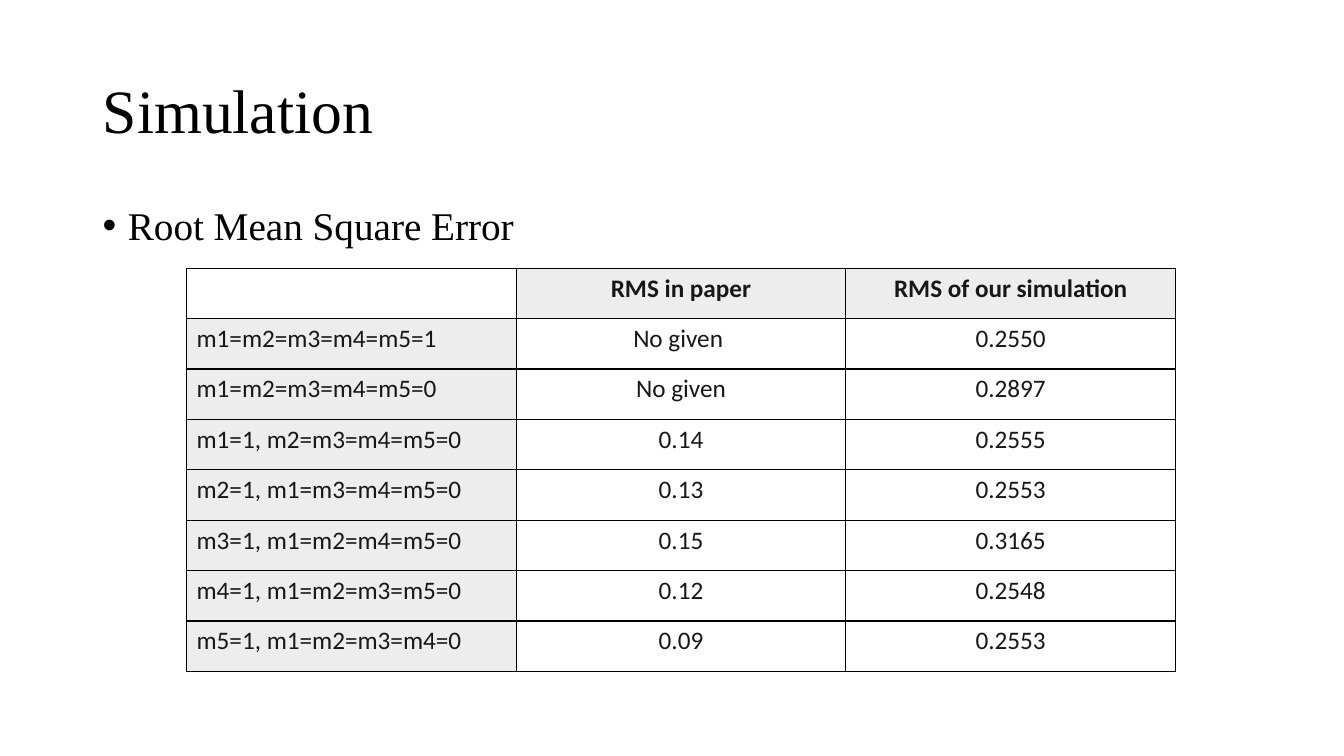
"""Build the simulation slide with its root mean square error table."""
from dataclasses import dataclass

import lxml.etree
import pptx
import pptx.dml.color
import pptx.enum.text
import pptx.oxml.ns
import pptx.slide
import pptx.table
import pptx.text.text
import pptx.util

Inches = pptx.util.Inches
Pt = pptx.util.Pt
RGBColor = pptx.dml.color.RGBColor
Align = pptx.enum.text.PP_ALIGN
Anchor = pptx.enum.text.MSO_ANCHOR
qn = pptx.oxml.ns.qn

BLACK = RGBColor(0x00, 0x00, 0x00)
WHITE = RGBColor(0xFF, 0xFF, 0xFF)
CELL_TEXT = RGBColor(0x18, 0x17, 0x17)
HEADER_GRAY = RGBColor(0xED, 0xED, 0xED)

HEADING_FONT = "Times New Roman"
TABLE_FONT = "Calibri"
COLUMN_WIDTH = 3.27
ROW_HEIGHT = 0.5


@dataclass(frozen=True)
class ResultRow:
    condition: str
    paper: str
    simulation: str


RESULTS = [
    ResultRow("", "RMS in paper", "RMS of our simulation"),
    ResultRow("m1=m2=m3=m4=m5=1", "No given ", "0.2550"),
    ResultRow("m1=m2=m3=m4=m5=0", "No given", "0.2897"),
    ResultRow("m1=1, m2=m3=m4=m5=0", "0.14", "0.2555"),
    ResultRow("m2=1, m1=m3=m4=m5=0", "0.13", "0.2553"),
    ResultRow("m3=1, m1=m2=m4=m5=0", "0.15", "0.3165"),
    ResultRow("m4=1, m1=m2=m3=m5=0", "0.12", "0.2548"),
    ResultRow("m5=1, m1=m2=m3=m4=0", "0.09", "0.2553"),
]


def format_font(paragraph: pptx.text.text._Paragraph, name: str, size: float,
                color: RGBColor, bold: bool = False) -> None:
    """Set the font of a whole paragraph."""
    paragraph.font.name = name
    paragraph.font.size = Pt(size)
    paragraph.font.bold = bold
    paragraph.font.color.rgb = color


def add_title(slide: pptx.slide.Slide, text: str) -> None:
    """Place and format the title placeholder."""
    title = slide.shapes.title
    title.left, title.top = Inches(0.92), Inches(0.4)
    title.width, title.height = Inches(11.5), Inches(1.45)
    title.text_frame.text = text
    title.text_frame.vertical_anchor = Anchor.MIDDLE
    paragraph = title.text_frame.paragraphs[0]
    paragraph.alignment = Align.LEFT
    paragraph.line_spacing = 0.9
    format_font(paragraph, HEADING_FONT, 44, BLACK)


def add_bullet(slide: pptx.slide.Slide, text: str) -> None:
    """Add the bulleted line above the table."""
    box = slide.shapes.add_textbox(Inches(0.92), Inches(2), Inches(11.7), Inches(4.76))
    box.text_frame.word_wrap = True
    paragraph = box.text_frame.paragraphs[0]
    paragraph.text = text
    paragraph.line_spacing = 0.9
    paragraph.space_before = Pt(10)
    format_font(paragraph, HEADING_FONT, 28, BLACK)
    properties = paragraph._p.get_or_add_pPr()
    properties.set("marL", str(Inches(0.25)))
    properties.set("indent", str(Inches(-0.25)))
    bullet_font = lxml.etree.Element(qn("a:buFont"), typeface="Arial")
    bullet = lxml.etree.Element(qn("a:buChar"), char="•")
    properties.find(qn("a:spcBef")).addnext(bullet_font)
    bullet_font.addnext(bullet)


def add_borders(cell: pptx.table._Cell) -> None:
    """Draw a thin black line on each side of a cell."""
    properties = cell._tc.get_or_add_tcPr()
    for side in ("a:lnL", "a:lnR", "a:lnT", "a:lnB"):
        line = lxml.etree.SubElement(properties, qn(side), w=str(Pt(1)))
        fill = lxml.etree.SubElement(line, qn("a:solidFill"))
        lxml.etree.SubElement(fill, qn("a:srgbClr"), val=str(BLACK))


def fill_cell(cell: pptx.table._Cell, text: str, is_header: bool, is_condition: bool) -> None:
    """Write and format one table cell."""
    add_borders(cell)
    cell.fill.solid()
    cell.fill.fore_color.rgb = HEADER_GRAY if is_header != is_condition else WHITE
    cell.text = text
    paragraph = cell.text_frame.paragraphs[0]
    paragraph.alignment = Align.LEFT if is_condition else Align.CENTER
    format_font(paragraph, TABLE_FONT, 18, CELL_TEXT, is_header)


def add_results(slide: pptx.slide.Slide, results: list[ResultRow]) -> None:
    """Add the table of errors."""
    table = slide.shapes.add_table(
        len(results), 3, Inches(1.85), Inches(2.66),
        Inches(3 * COLUMN_WIDTH), Inches(len(results) * ROW_HEIGHT)).table
    table.first_row = False
    table.horz_banding = False
    for column in table.columns:
        column.width = Inches(COLUMN_WIDTH)
    for row_index, result in enumerate(results):
        table.rows[row_index].height = Inches(ROW_HEIGHT)
        values = (result.condition, result.paper, result.simulation)
        for column_index, value in enumerate(values):
            fill_cell(table.cell(row_index, column_index), value,
                      row_index == 0, column_index == 0)


def main() -> None:
    """Build and save the presentation."""
    presentation = pptx.Presentation()
    presentation.slide_width = Inches(13.33)
    presentation.slide_height = Inches(7.5)
    slide = presentation.slides.add_slide(presentation.slide_layouts[5])
    add_title(slide, "Simulation")
    add_bullet(slide, "Root Mean Square Error")
    add_results(slide, RESULTS)
    presentation.save("out.pptx")


if __name__ == "__main__":
    main()
